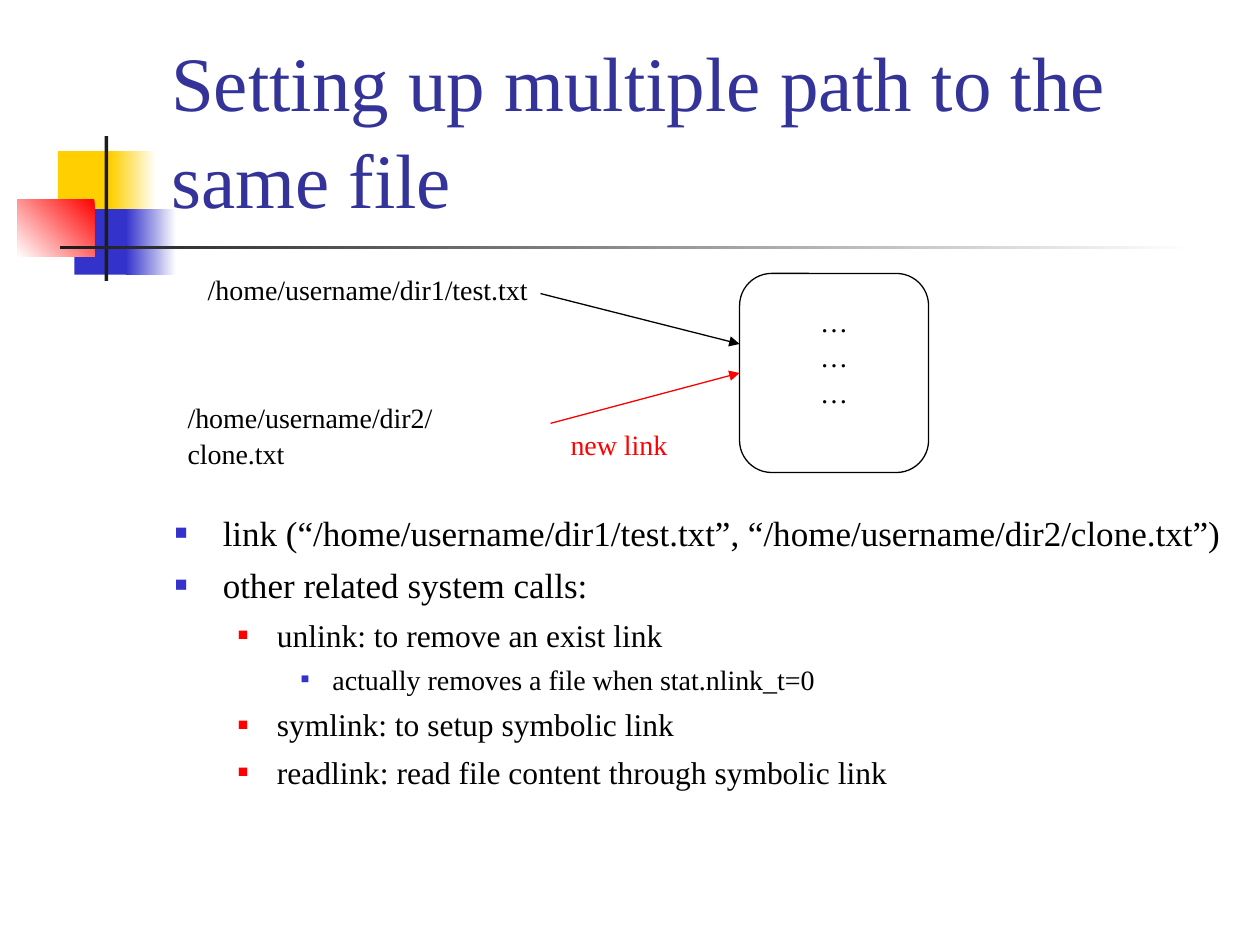
from lxml import etree
from pptx import Presentation, util as u
from pptx.dml.color import RGBColor
from pptx.enum import shapes, text
from pptx.oxml.ns import qn

FONT = "Times New Roman"
BLACK, RED, BLUE, NAVY, YELLOW, DARK = "000000", "FF0000", "3333CC", "333399", "FFCF01", "1C1C1C"
WHITE = "FFFFFF"

TITLE = "Setting up multiple path to the same file"
DECOR = [
    ((0.46, 1.2, 0.48, 0.52), [YELLOW], 0),
    ((0.88, 1.2, 0.36, 0.52), [WHITE, YELLOW], 180),
    ((0.59, 1.66, 0.46, 0.52), [BLUE], 0),
    ((1, 1.66, 0.4, 0.52), [WHITE, BLUE], 180),
    ((0.14, 1.58, 0.61, 0.46), [RED, WHITE], 225),
    ((0.83, 1.08, 0.03, 1.15), [DARK], 0),
    ((0.48, 1.95, 9, 0.03), [WHITE, DARK], 180),
]
BULLETS = [
    (0, "link (“/home/username/dir1/test.txt”, “/home/username/dir2/clone.txt”)"),
    (0, "other related system calls:"),
    (1, "unlink: to remove an exist link"),
    (2, "actually removes a file when stat.nlink_t=0"),
    (1, "symlink: to setup symbolic link"),
    (1, "readlink: read file content through symbolic link"),
]
LEVELS = [
    dict(size=20, before=5, left=0.38, hang=0.38, color=BLUE, scale=60),
    dict(size=18, before=4.5, left=0.81, hang=0.31, color=RED, scale=55),
    dict(size=16, before=4, left=1.25, hang=0.25, color=BLUE, scale=50),
]
LABELS = [
    ("/home/username/dir1/test.txt", (1.55, 2.1, 2.74, 0.37), BLACK),
    ("/home/username/dir2/clone.txt", (1.39, 3.12, 2.91, 0.37), BLACK),
    ("new link", (4.43, 3.33, 0.97, 0.37), RED),
]
FILE_BOX = (5.87, 2.17, 1.5, 1.58)
FILE_LINES = ["…"] * 3
ARROWS = [((4.29, 2.33), (5.87, 2.73), BLACK), ((4.37, 3.36), (5.87, 2.96), RED)]


def rgb(color):
    return RGBColor.from_string(color)


def inches(values):
    return [u.Inches(v) for v in values]


def write(tf, content, size=16, color=BLACK, first=True, align=text.PP_ALIGN.LEFT):
    p = tf.paragraphs[0] if first else tf.add_paragraph()
    p.alignment = align
    p.line_spacing = 1.05
    r = p.add_run()
    r.text = content
    r.font.name, r.font.size, r.font.color.rgb = FONT, u.Pt(size), rgb(color)
    return p


def add_box(s, at, wrap=True):
    tf = s.shapes.add_textbox(*inches(at)).text_frame
    tf.word_wrap = wrap
    return tf


def add_bullet(p, left, hang, color, scale):
    ppr = p._p.get_or_add_pPr()
    ppr.set("marL", str(u.Inches(left)))
    ppr.set("indent", str(-u.Inches(hang)))
    clr = etree.SubElement(ppr, qn("a:buClr"))
    etree.SubElement(clr, qn("a:srgbClr"), val=color)
    etree.SubElement(ppr, qn("a:buSzPct"), val=str(scale * 1000))
    etree.SubElement(ppr, qn("a:buFont"), typeface=FONT)
    etree.SubElement(ppr, qn("a:buChar"), char="■")


def add_decor(s, at, colors, angle):
    sp = s.shapes.add_shape(shapes.MSO_SHAPE.RECTANGLE, *inches(at))
    sp.shadow.inherit = False
    sp.line.fill.background()
    if len(colors) == 1:
        sp.fill.solid()
        sp.fill.fore_color.rgb = rgb(colors[0])
        return
    sp.fill.gradient()
    sp.fill.gradient_angle = angle
    for i, (stop, color) in enumerate(zip(sp.fill.gradient_stops, colors)):
        stop.position = i
        stop.color.rgb = rgb(color)


def add_arrow(s, start, end, color):
    c = s.shapes.add_connector(shapes.MSO_CONNECTOR.STRAIGHT, *inches(start + end))
    c.line.color.rgb = rgb(color)
    c.line.width = u.Pt(0.75)
    etree.SubElement(c.line._get_or_add_ln(), qn("a:tailEnd"), type="triangle")
    etree.SubElement(c._element.spPr, qn("a:effectLst"))


def add_file(s):
    sp = s.shapes.add_shape(shapes.MSO_SHAPE.ROUNDED_RECTANGLE, *inches(FILE_BOX))
    sp.adjustments[0] = 0.17
    sp.shadow.inherit = False
    sp.fill.background()
    sp.line.color.rgb = rgb(BLACK)
    sp.line.width = u.Pt(0.75)
    tf = sp.text_frame
    tf.vertical_anchor = text.MSO_ANCHOR.MIDDLE
    tf.margin_bottom = u.Inches(0.32)
    for i, line in enumerate(FILE_LINES):
        write(tf, line, first=i == 0, align=text.PP_ALIGN.CENTER)


def main():
    prs = Presentation()
    prs.slide_width, prs.slide_height = inches((10, 7.5))
    s = prs.slides.add_slide(prs.slide_layouts[6])
    for item in DECOR:
        add_decor(s, *item)

    tf = add_box(s, (1.26, 0.23, 8.52, 1.6))
    tf.vertical_anchor = text.MSO_ANCHOR.BOTTOM
    write(tf, TITLE, size=44, color=NAVY)

    tf = add_box(s, (1.29, 3.99, 8.5, 2.72))
    for i, (level, line) in enumerate(BULLETS):
        style = dict(LEVELS[level])
        size, before = style.pop("size"), style.pop("before")
        p = write(tf, line, size=size, first=i == 0)
        p.level = level
        p.space_before = u.Pt(before if i else 0)
        add_bullet(p, **style)

    for content, at, color in LABELS:
        write(add_box(s, at, wrap=False), content, color=color)
    add_file(s)
    for arrow in ARROWS:
        add_arrow(s, *arrow)
    prs.save("out.pptx")


if __name__ == "__main__":
    main()
